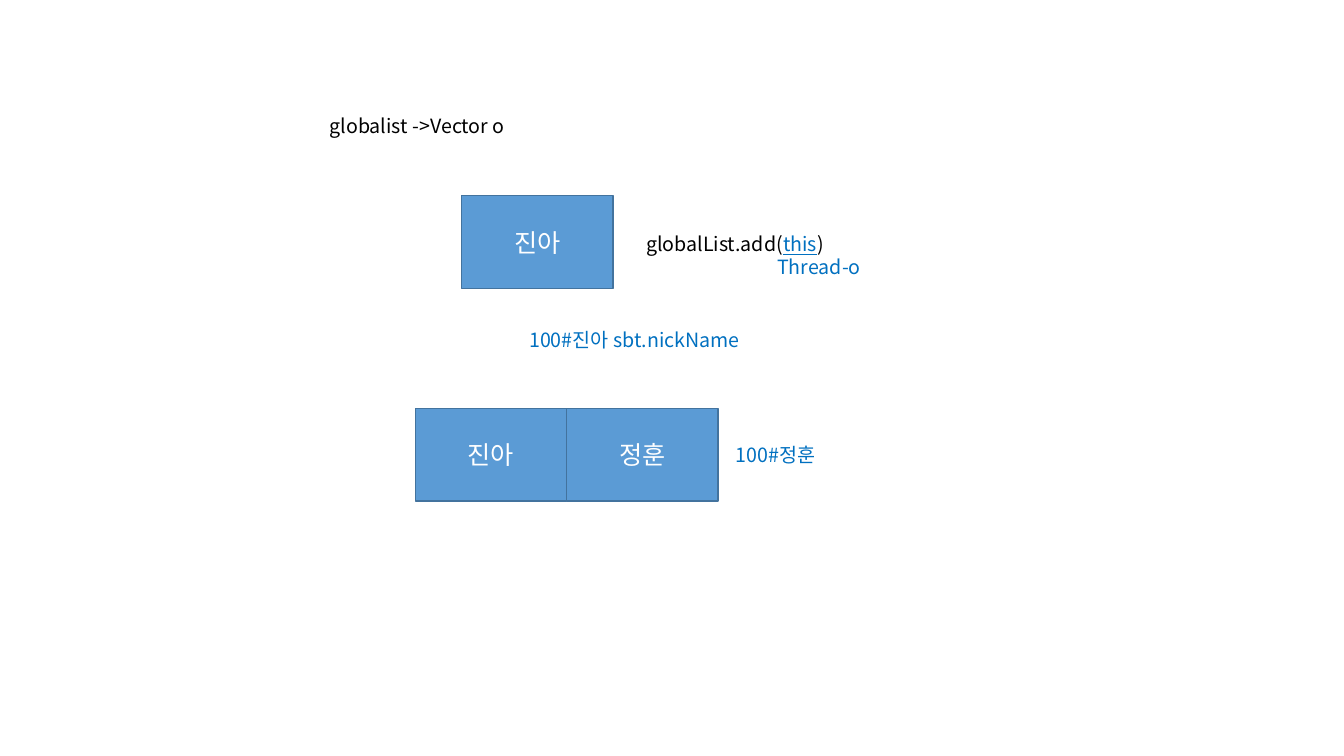
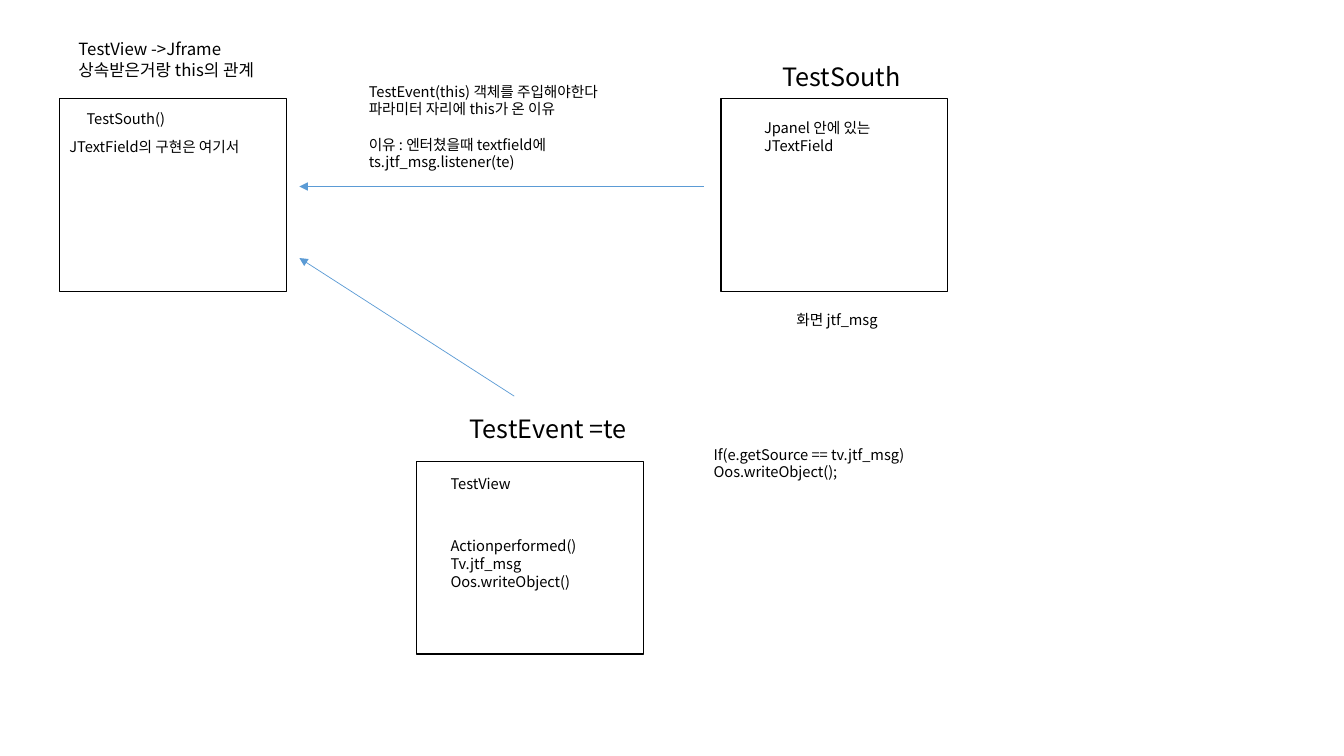
from lxml.etree import SubElement
from pptx import Presentation
from pptx.dml.color import RGBColor
from pptx.enum.shapes import MSO_CONNECTOR, MSO_SHAPE
from pptx.enum.text import MSO_ANCHOR, PP_ALIGN
from pptx.oxml.ns import qn
from pptx.util import Inches, Pt

FONT = "Noto Sans CJK KR"
BLACK, WHITE = "000000", "FFFFFF"
CELL_BLUE, CELL_EDGE, NOTE_BLUE = "5B9BD5", "43739E", "0070C0"
LINE_HEIGHT = 1.2
CELL_WIDTH, CELL_HEIGHT = 1.5, 0.92
CLASS_WIDTH, CLASS_HEIGHT = 2.25, 1.91
HEADING, CAPTION, BODY = 18, 12, 10.5


def rgb(color):
    return RGBColor.from_string(color)


def add_run(paragraph, text, size, color, underline=False):
    run = paragraph.add_run()
    run.text = text
    font = run.font
    font.name, font.size, font.color.rgb = FONT, Pt(size), rgb(color)
    if underline:
        font.underline = True
    SubElement(font._element, qn("a:ea"), typeface=FONT)
    paragraph.line_spacing = Pt(round(size * LINE_HEIGHT, 1))


def add_note(slide, left, top, width, height, lines, size=BODY, color=BLACK):
    """Add a text box; a line is a string or a list of (text, color, underline)."""
    frame = slide.shapes.add_textbox(
        Inches(left), Inches(top), Inches(width), Inches(height)).text_frame
    frame.word_wrap = True
    for index, line in enumerate(lines):
        paragraph = frame.add_paragraph() if index else frame.paragraphs[0]
        runs = [(line, color, False)] if isinstance(line, str) else line
        for text, run_color, underline in runs:
            add_run(paragraph, text, size, run_color, underline)
    return frame


def add_box(slide, left, top, width, height, fill, edge):
    box = slide.shapes.add_shape(
        MSO_SHAPE.RECTANGLE, Inches(left), Inches(top), Inches(width), Inches(height))
    box.shadow.inherit = False
    box.fill.solid()
    box.fill.fore_color.rgb = rgb(fill)
    box.line.color.rgb = rgb(edge)
    box.line.width = Pt(1)
    return box


def add_vector(slide, left, top, names):
    """Add a row of touching cells, one for each name."""
    for index, name in enumerate(names):
        cell = add_box(slide, left + index * CELL_WIDTH, top,
                       CELL_WIDTH, CELL_HEIGHT, CELL_BLUE, CELL_EDGE)
        cell.text_frame.vertical_anchor = MSO_ANCHOR.MIDDLE
        paragraph = cell.text_frame.paragraphs[0]
        paragraph.alignment = PP_ALIGN.CENTER
        add_run(paragraph, name, HEADING, WHITE)


def add_arrow(slide, start, end):
    arrow = slide.shapes.add_connector(
        MSO_CONNECTOR.STRAIGHT, *(Inches(value) for value in (*start, *end)))
    arrow.line.color.rgb = rgb(CELL_BLUE)
    arrow.line.width = Pt(0.5)
    SubElement(arrow.line._get_or_add_ln(), qn("a:tailEnd"), type="triangle")
    SubElement(arrow._element.spPr, qn("a:effectLst"))


def build_vector_slide(slide):
    add_vector(slide, 4.58, 1.94, ["진아"])
    add_vector(slide, 4.12, 4.05, ["진아", "정훈"])

    add_note(slide, 3.17, 1.08, 2.69, 0.34, ["globalist ->Vector o"], 14)
    add_call = [("globalList.add(", BLACK, False), ("this", NOTE_BLUE, True),
                (")", BLACK, False)]
    call_note = add_note(slide, 6.31, 2.25, 4, 0.57,
                         [add_call, [("Thread-o", NOTE_BLUE, False)]], 14)
    thread_properties = call_note.paragraphs[1]._p.get_or_add_pPr()
    thread_properties.set("marL", str(Inches(1.3)))
    thread_properties.set("indent", "0")
    add_note(slide, 5.15, 3.2, 3.33, 0.34, ["100#진아 sbt.nickName"], 14, NOTE_BLUE)
    add_note(slide, 7.2, 4.34, 1.42, 0.34, ["100#정훈"], 14, NOTE_BLUE)


def build_class_slide(slide):
    for left, top in [(0.59, 0.98), (7.15, 0.98), (4.13, 4.58)]:
        add_box(slide, left, top, CLASS_WIDTH, CLASS_HEIGHT, WHITE, BLACK)

    add_note(slide, 0.68, 0.34, 2, 0.5,
             ["TestView ->Jframe 상속받은거랑 this의 관계"], CAPTION)
    add_note(slide, 7.66, 0.56, 2, 0.42, ["TestSouth"], HEADING)
    add_note(slide, 4.56, 4.05, 2, 0.42, ["TestEvent =te"], HEADING)

    reason = add_note(slide, 3.56, 0.77, 3.43, 0.98, [
        "TestEvent(this) 객체를 주입해야한다",
        "파라미터 자리에 this가 온 이유",
        "이유 : 엔터쳤을때 textfield에 ts.jtf_msg.listener(te)"])
    reason.paragraphs[2].space_before = Pt(BODY * LINE_HEIGHT)

    add_arrow(slide, (6.98, 1.85), (2.97, 1.85))
    add_arrow(slide, (5.1, 3.93), (2.97, 2.56))

    for left, top, width, height, lines in [
        (4.37, 4.66, 1.92, 0.28, ["TestView"]),
        (4.37, 5.28, 3.43, 0.63,
         ["Actionperformed()", "Tv.jtf_msg", "Oos.writeObject()"]),
        (0.76, 1.04, 1.92, 0.28, ["TestSouth()"]),
        (7.8, 3.03, 1.92, 0.28, ["화면 jtf_msg"]),
        (7.48, 1.13, 1.92, 0.45, ["Jpanel 안에 있는 JTextField"]),
        (0.59, 1.32, 2.22, 0.28, ["JTextField의 구현은 여기서"]),
        (6.98, 4.37, 3.43, 0.45,
         ["If(e.getSource == tv.jtf_msg)", "Oos.writeObject();"]),
    ]:
        add_note(slide, left, top, width, height, lines)


def main():
    deck = Presentation()
    deck.slide_width, deck.slide_height = Inches(13.33), Inches(7.5)
    blank = deck.slide_layouts[6]
    for build in (build_vector_slide, build_class_slide):
        build(deck.slides.add_slide(blank))
    deck.save("out.pptx")


if __name__ == "__main__":
    main()
